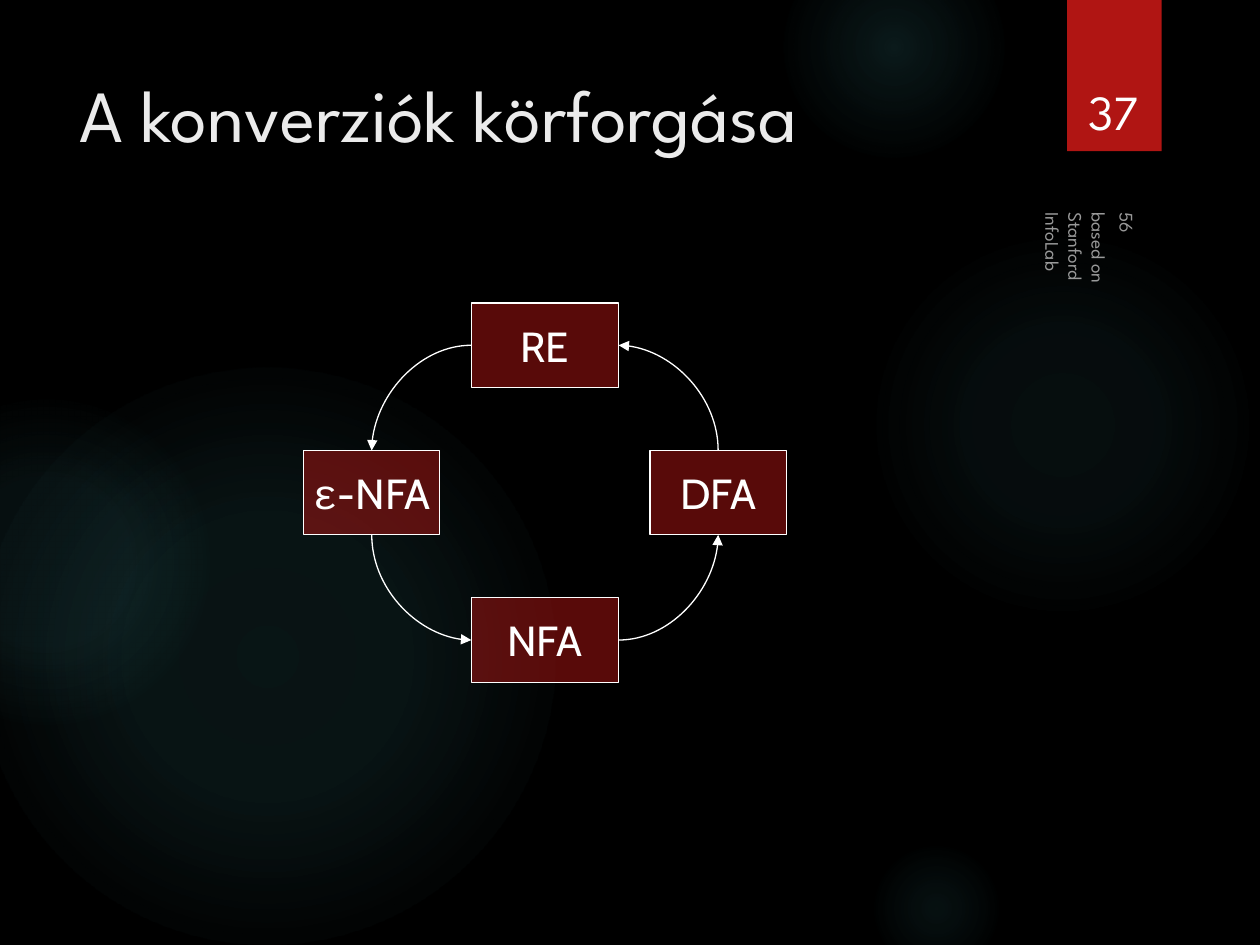
from dataclasses import dataclass

from lxml.etree import SubElement
from pptx import Presentation
from pptx.dml.color import RGBColor as RGB
from pptx.enum.shapes import MSO_CONNECTOR as LINK, MSO_SHAPE as SHAPE
from pptx.enum.text import MSO_ANCHOR as ANCHOR, PP_ALIGN as ALIGN
from pptx.oxml.ns import qn
from pptx.util import Inches, Pt


@dataclass(frozen=True)
class Theme:
    back: str = "000000"
    glow: str = "50B9C1"
    red: str = "B01513"
    white: str = "FFFFFF"
    pale: str = "EBEBEB"
    head: str = "League Spartan"
    body: str = "Cabin"
    greek: str = "Courier New"
    title: int = 42
    number: int = 28
    node: int = 24
    small: int = 11
    line: float = 0.75


THEME = Theme()

# left, top, diameter, then (position, opacity) stops in percent
GLOWS = [
    (6.89, 1.83, 3.08, [(0, 7), (36, 6), (69, 0)]),
    (6.22, -0.5, 1.75, [(0, 14), (36, 7), (73, 0)]),
    (6.89, 6.67, 1.08, [(0, 9), (36, 5), (66, 0)]),
    (-0.17, 2.92, 4.58, [(0, 11), (36, 10), (75, 0)]),
    (-0.92, 3.17, 2.58, [(0, 8), (36, 8), (72, 0)]),
]

MID_X, MID_Y = 4.325, 3.91   # centre of the cycle
REACH_X, REACH_Y = 1.375, 1.17
WIDE, SLIM, TALL = 1.17, 1.08, 0.67


def add_alpha(fill, percent):
    color = fill._xPr.find(".//" + qn("a:srgbClr"))
    SubElement(color, qn("a:alpha"), val=str(percent * 1000))


def add_block(slide, kind, left, top, width, height, color):
    shape = slide.shapes.add_shape(
        kind, Inches(left), Inches(top), Inches(width), Inches(height))
    shape.shadow.inherit = False
    shape.fill.solid()
    shape.fill.fore_color.rgb = RGB.from_string(color)
    shape.line.fill.background()
    return shape


def add_glow(slide, left, top, size, stops):
    """Draw a circle whose colour fades out from its centre."""
    shape = add_block(slide, SHAPE.OVAL, left, top, size, size, THEME.glow)
    props = shape.element.spPr
    solid = props.find(qn("a:solidFill"))
    grad = solid.makeelement(qn("a:gradFill"), rotWithShape="1")
    props.replace(solid, grad)
    steps = SubElement(grad, qn("a:gsLst"))
    for place, alpha in stops:
        step = SubElement(steps, qn("a:gs"), pos=str(place * 1000))
        color = SubElement(step, qn("a:srgbClr"), val=THEME.glow)
        SubElement(color, qn("a:alpha"), val=str(alpha * 1000))
    ring = SubElement(grad, qn("a:path"), path="circle")
    SubElement(ring, qn("a:fillToRect"), l="50000", t="50000", r="50000", b="50000")


def add_run(para, text, size, font, color):
    run = para.add_run()
    run.text = text
    look = {"size": Pt(size), "name": font}
    for name, value in look.items():
        setattr(run.font, name, value)
    run.font.color.rgb = RGB.from_string(color)
    return run


def add_text(slide, place, text, size, color, anchor=ANCHOR.TOP,
             align=ALIGN.LEFT, turn=0, alpha=None):
    box = slide.shapes.add_textbox(*map(Inches, place))
    box.rotation = turn
    frame = box.text_frame
    frame.word_wrap = True
    frame.vertical_anchor = anchor
    para = frame.paragraphs[0]
    para.alignment = align
    run = add_run(para, text, size, THEME.head, color)
    if alpha is not None:
        add_alpha(run.font.fill, alpha)


def add_node(slide, x, y, width, parts):
    """Draw a box centred on x, y; parts are (text, font) pairs."""
    box = add_block(slide, SHAPE.RECTANGLE, x - width / 2, y - TALL / 2,
                    width, TALL, THEME.red)
    add_alpha(box.fill, 50)
    box.line.color.rgb = RGB.from_string(THEME.white)
    box.line.width = Pt(THEME.line)
    frame = box.text_frame
    frame.word_wrap = False
    frame.vertical_anchor = ANCHOR.MIDDLE
    para = frame.paragraphs[0]
    para.alignment = ALIGN.CENTER
    for text, font in parts:
        add_run(para, text, THEME.node, font, THEME.white)


def add_arc(slide, start, end, upright):
    """Draw a quarter-turn arrow; an upright one leaves its start vertically."""
    (x1, y1), (x2, y2) = start, end
    turn = 0
    if upright:
        # The preset leaves sideways, so lay it out flat and rotate it.
        turn = 90 if y2 < y1 else 270
        x, y = (x1 + x2) / 2, (y1 + y2) / 2
        half_w, half_h = abs(y2 - y1) / 2, abs(x2 - x1) / 2
        x1, y1, x2, y2 = x + half_w, y - half_h, x - half_w, y + half_h
    arc = slide.shapes.add_connector(LINK.CURVE, *map(Inches, (x1, y1, x2, y2)))
    arc.line.color.rgb = RGB.from_string(THEME.white)
    arc.line.width = Pt(THEME.line)
    props = arc.element.spPr
    props.find(qn("a:prstGeom")).set("prst", "curvedConnector2")
    if turn:
        props.find(qn("a:xfrm")).set("rot", str(turn * 60000))
    SubElement(props.find(qn("a:ln")), qn("a:tailEnd"), type="triangle")
    SubElement(props, qn("a:effectLst"))


def add_cycle(slide):
    left, right = MID_X - REACH_X, MID_X + REACH_X
    top, low = MID_Y - REACH_Y, MID_Y + REACH_Y
    add_node(slide, MID_X, top, WIDE, [("RE", THEME.body)])
    add_node(slide, right, MID_Y, SLIM, [("DFA", THEME.body)])
    add_node(slide, MID_X, low, WIDE, [("NFA", THEME.body)])
    add_node(slide, left, MID_Y, SLIM, [("ε", THEME.greek), ("-NFA", THEME.body)])

    def side(way, y):
        return MID_X + way * WIDE / 2, y

    def edge(x, way):
        return x, MID_Y + way * TALL / 2

    add_arc(slide, edge(right, -1), side(1, top), True)
    add_arc(slide, side(-1, top), edge(left, -1), False)
    add_arc(slide, edge(left, 1), side(-1, low), True)
    add_arc(slide, side(1, low), edge(right, 1), False)


def main():
    deck = Presentation()
    deck.slide_width, deck.slide_height = Inches(10), Inches(7.5)
    slide = deck.slides.add_slide(deck.slide_layouts[6])
    slide.background.fill.solid()
    slide.background.fill.fore_color.rgb = RGB.from_string(THEME.back)
    for glow in GLOWS:
        add_glow(slide, *glow)
    add_block(slide, SHAPE.RECTANGLE, 8.47, 0, 0.75, 1.2, THEME.red)
    add_text(slide, (8.49, 0.32, 0.69, 0.84), "37", THEME.number, THEME.white,
             ANCHOR.BOTTOM, ALIGN.CENTER)
    add_text(slide, (0.53, 0.5, 7.72, 1.53), "A konverziók körforgása",
             THEME.title, THEME.pale)
    add_cycle(slide)
    add_text(slide, (8.2, 2, 1.08, 0.25), "based on Stanford InfoLab",
             THEME.small, THEME.white, turn=90, alpha=60)
    add_text(slide, (6.82, 3.57, 4.22, 0.25), "56", THEME.small, THEME.white,
             ANCHOR.BOTTOM, turn=90, alpha=60)
    deck.save("out.pptx")


if __name__ == "__main__":
    main()
